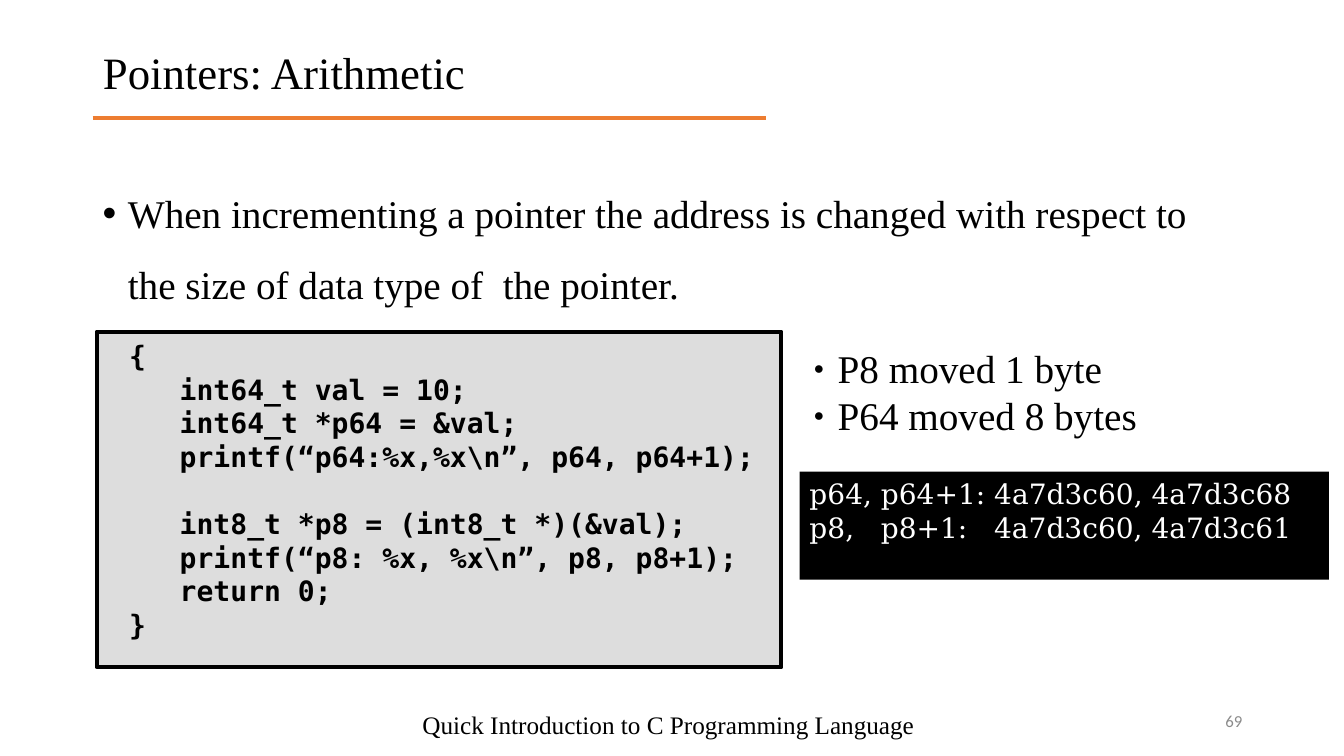
from lxml.etree import SubElement
from pptx import Presentation
from pptx.dml.color import RGBColor
from pptx.enum.shapes import MSO_CONNECTOR, MSO_SHAPE
from pptx.enum.text import MSO_ANCHOR, MSO_AUTO_SIZE, PP_ALIGN
from pptx.oxml.ns import qn
from pptx.util import Inches, Pt

TITLE = "Pointers: Arithmetic"
RULE = ["When incrementing a pointer the address is changed with respect to "
        "the size of data type of  the pointer."]
CODE = [
    "{",
    "   int64_t val = 10;",
    "   int64_t *p64 = &val;",
    "   printf(“p64:%x,%x\\n”, p64, p64+1);",
    "",
    "   int8_t *p8 = (int8_t *)(&val);",
    "   printf(“p8: %x, %x\\n”, p8, p8+1);",
    "   return 0;",
    "}",
]
MOVES = ["P8 moved 1 byte", "P64 moved 8 bytes"]
OUTPUT = ["p64, p64+1: 4a7d3c60, 4a7d3c68", "p8,   p8+1:   4a7d3c60, 4a7d3c61"]
FOOTER = "Quick Introduction to C Programming Language"
PAGE = "69"

SERIF, MONO, CONSOLE, SANS = "Times New Roman", "DejaVu Sans Mono", "DejaVu Serif", "Calibri"
BLACK, WHITE, ORANGE, PALE, GREY = "000000", "FFFFFF", "ED7D31", "DDDDDD", "8B8B8B"
LEFT, WIDTH = 0.92, 11.5


def color(value):
    return RGBColor.from_string(value)


def indent(paragraph, left, first=0.0):
    properties = paragraph._p.get_or_add_pPr()
    properties.set("marL", str(Inches(left)))
    properties.set("indent", str(Inches(first)))
    return properties


def add_bullet(paragraph, char, hang, percent):
    properties = indent(paragraph, hang, -hang)
    bullet_color = SubElement(properties, qn("a:buClr"))
    SubElement(bullet_color, qn("a:srgbClr"), val=BLACK)
    SubElement(properties, qn("a:buSzPct"), val=str(percent * 1000))
    SubElement(properties, qn("a:buFont"), typeface="Arial")
    SubElement(properties, qn("a:buChar"), char=char)


def write(shape, lines, font, size, ink=BLACK, bold=False, align=PP_ALIGN.LEFT,
          anchor=MSO_ANCHOR.TOP, margins=(0.1, 0.05), spacing=None):
    """Fill the shape with one paragraph per line and return the paragraphs."""
    frame = shape.text_frame
    frame.word_wrap = True
    frame.auto_size = MSO_AUTO_SIZE.NONE
    frame.vertical_anchor = anchor
    frame.margin_left = frame.margin_right = Inches(margins[0])
    frame.margin_top = frame.margin_bottom = Inches(margins[1])
    for number, line in enumerate(lines):
        paragraph = frame.add_paragraph() if number else frame.paragraphs[0]
        paragraph.alignment = align
        if spacing:
            paragraph.line_spacing = spacing
        if not line:
            SubElement(paragraph._p, qn("a:endParaRPr"), sz=str(size * 100))
            continue
        run = paragraph.add_run()
        run.text = line
        run.font.name, run.font.size, run.font.bold = font, Pt(size), bold
        run.font.color.rgb = color(ink)
    return frame.paragraphs


def add_text(slide, box, lines, *style, **options):
    shape = slide.shapes.add_textbox(*map(Inches, box))
    return write(shape, lines, *style, **options)


def add_panel(slide, box, fill, border=None):
    panel = slide.shapes.add_shape(MSO_SHAPE.RECTANGLE, *map(Inches, box))
    panel.shadow.inherit = False
    panel.fill.solid()
    panel.fill.fore_color.rgb = color(fill)
    if border:
        panel.line.color.rgb = color(BLACK)
        panel.line.width = Pt(border)
    else:
        panel.line.fill.background()
    return panel


def main():
    deck = Presentation()
    deck.slide_width, deck.slide_height = Inches(13.33), Inches(7.5)
    slide = deck.slides.add_slide(deck.slide_layouts[5])

    underline = slide.shapes.add_connector(
        MSO_CONNECTOR.STRAIGHT, Inches(LEFT), Inches(1.17), Inches(7.6), Inches(1.17))
    underline.line.color.rgb = color(ORANGE)
    underline.line.width = Pt(3)
    SubElement(underline._element.spPr, qn("a:effectLst"))

    title = slide.shapes.title
    title.left, title.top, title.width, title.height = map(Inches, (LEFT, 0.02, WIDTH, 1.45))
    write(title, [TITLE], SERIF, 32, anchor=MSO_ANCHOR.MIDDLE, spacing=0.9)

    for paragraph in add_text(slide, (LEFT, 1.6, WIDTH, 1.6), RULE, SERIF, 28, spacing=1.5):
        add_bullet(paragraph, "•", 0.25, 100)

    code_panel = add_panel(slide, (0.96, 3.29, 6.79, 3.33), PALE, border=2.89)
    for paragraph in write(code_panel, CODE, MONO, 20, bold=True, margins=(0.12, 0.07)):
        indent(paragraph, 0.2)

    for paragraph in add_text(slide, (7.97, 3.37, 4.25, 0.9), MOVES, SERIF, 28):
        add_bullet(paragraph, "●", 0.24, 45)

    console = add_panel(slide, (7.93, 4.68, 5.25, 1.07), BLACK)
    write(console, OUTPUT, CONSOLE, 20, ink=WHITE)

    add_text(slide, (3.26, 6.95, 6.74, 0.47), [FOOTER], SERIF, 18,
             align=PP_ALIGN.CENTER, anchor=MSO_ANCHOR.MIDDLE)
    add_text(slide, (9.42, 6.95, 3, 0.4), [PAGE], SANS, 12, ink=GREY,
             align=PP_ALIGN.RIGHT, anchor=MSO_ANCHOR.MIDDLE)
    deck.save("out.pptx")


if __name__ == "__main__":
    main()
